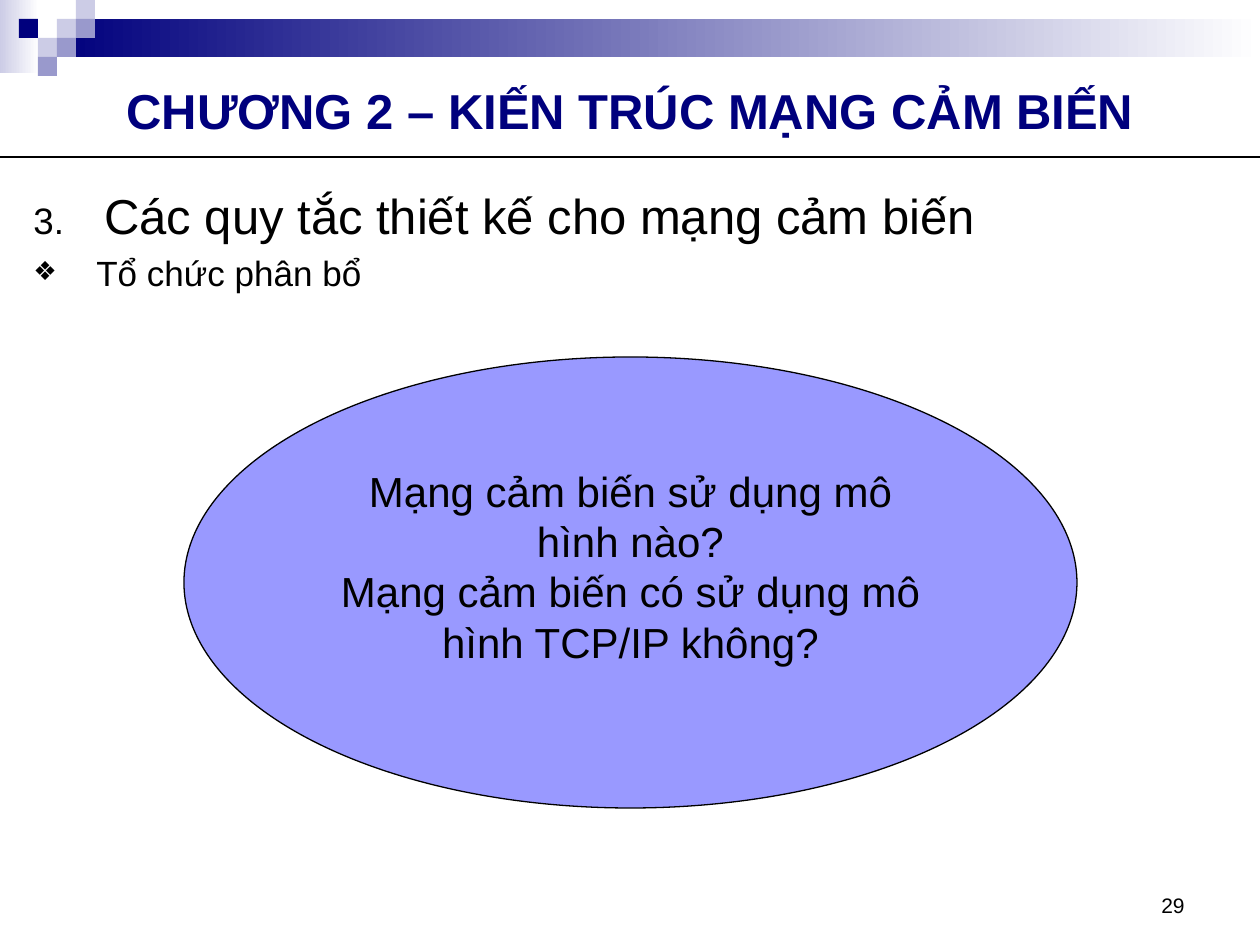
from pptx import Presentation, util as u
from pptx.dml.color import RGBColor
from pptx.enum import shapes, text
from pptx.oxml.ns import qn
from lxml import etree

PX = 914400 / 126
WIDTH, HEIGHT = 1260, 945
UNIT = 19  # side of one corner square
NAVY, BLUE, PALE, LILAC = "00007D", "9999CC", "CCCCE6", "9999FF"
BLACK, WHITE = "000000", "FFFFFF"
LEFT, CENTER, RIGHT = text.PP_ALIGN.JUSTIFY, text.PP_ALIGN.CENTER, text.PP_ALIGN.RIGHT
TOP, MIDDLE, BOTTOM = (text.MSO_ANCHOR.TOP, text.MSO_ANCHOR.MIDDLE,
                       text.MSO_ANCHOR.BOTTOM)


def px(*lengths):
    return [u.Emu(round(length * PX)) for length in lengths]


def color(value):
    return RGBColor.from_string(value)


def add_preset(slide, kind, box, fill, line=None):
    """Add a preset shape; a pair of fill colours gives a gradient."""
    shape = slide.shapes.add_shape(kind, *px(*box))
    shape.shadow.inherit = False
    if isinstance(fill, tuple):
        shape.fill.gradient()
        shape.fill.gradient_angle = 0
        for stop, value in zip(shape.fill.gradient_stops, fill):
            stop.color.rgb = color(value)
    else:
        shape.fill.solid()
        shape.fill.fore_color.rgb = color(fill)
    if line:
        shape.line.color.rgb = color(line)
        shape.line.width = u.Pt(0.75)
    else:
        shape.line.fill.background()
    return shape


def write(shape, lines, align, anchor, fill=BLACK, bold=False):
    """Write (wording, size) lines and return their paragraphs."""
    frame = shape.text_frame
    frame.word_wrap = True
    frame.vertical_anchor = anchor
    frame.text = "\n".join(wording for wording, size in lines)
    for paragraph, (wording, size) in zip(frame.paragraphs, lines):
        paragraph.alignment = align
        font = paragraph.font
        font.name, font.size, font.bold = "Arial", u.Pt(size), bold
        font.color.rgb = color(fill)
    return frame.paragraphs


def add_text(slide, box, *arguments, **options):
    return write(slide.shapes.add_textbox(*px(*box)), *arguments, **options)


def add_rule(slide, y):
    line = slide.shapes.add_connector(shapes.MSO_CONNECTOR.STRAIGHT,
                                      *px(0, y, WIDTH, y))
    line.line.color.rgb = color(BLACK)
    line.line.width = u.Pt(0.75)
    etree.SubElement(line._element.spPr, qn("a:effectLst"))


def set_bullet(paragraph, indent, tag, **attributes):
    properties = paragraph._p.get_or_add_pPr()
    margin, = px(indent)
    properties.set("marL", str(margin))
    properties.set("indent", str(-margin))
    etree.SubElement(properties, qn("a:buSzPct"), val="75000")
    etree.SubElement(properties, qn("a:buFont"), typeface="Arial")
    bullet = etree.SubElement(properties, qn(tag), **attributes)
    # The default run properties come after the bullet
    properties.append(properties.find(qn("a:defRPr")))
    return bullet


def add_header(slide):
    rectangle = shapes.MSO_SHAPE.RECTANGLE
    add_preset(slide, rectangle, (0, 0, 39, 73), (PALE, WHITE))
    add_preset(slide, rectangle, (3 * UNIT, UNIT, WIDTH - 3 * UNIT, 2 * UNIT),
               (NAVY, WHITE))
    squares = [(3, 1, PALE), (4, 0, PALE), (4, 1, BLUE), (2, 2, PALE),
               (1, 1, NAVY), (3, 2, BLUE), (2, 3, BLUE)]
    for column, row, fill in squares:
        add_preset(slide, rectangle,
                   (column * UNIT, row * UNIT, UNIT, UNIT), fill)


def main():
    presentation = Presentation()
    presentation.slide_width, presentation.slide_height = px(WIDTH, HEIGHT)
    slide = presentation.slides.add_slide(presentation.slide_layouts[6])

    # Header band, page number and title
    add_header(slide)
    add_text(slide, (903, 861, 294, 63), [("29", 12)], RIGHT, BOTTOM)
    add_text(slide, (0, 63, WIDTH, 94),
             [("CHƯƠNG 2 – KIẾN TRÚC MẠNG CẢM BIẾN", 28)],
             CENTER, MIDDLE, fill=NAVY, bold=True)
    add_rule(slide, 157)

    # Section heading and its topic
    heading, topic = add_text(
        slide, (21, 179, 1218, 724),
        [("Các quy tắc thiết kế cho mạng cảm biến", 28),
         ("Tổ chức phân bổ", 20)], LEFT, TOP)
    heading.space_before, topic.space_before = u.Pt(5.6), u.Pt(4)
    set_bullet(heading, 71, "a:buAutoNum", type="arabicPeriod", startAt="3")
    set_bullet(topic, 63, "a:buChar", char="❖")

    # Questions in the ellipse
    ellipse = add_preset(slide, shapes.MSO_SHAPE.OVAL, (184, 357, 893, 451),
                         LILAC, BLACK)
    ellipse.text_frame.margin_top, = px(42)
    write(ellipse, [("Mạng cảm biến sử dụng mô hình nào?", 24),
                    ("Mạng cảm biến có sử dụng mô hình TCP/IP không?", 24)],
          CENTER, TOP)

    presentation.save("out.pptx")


if __name__ == "__main__":
    main()
